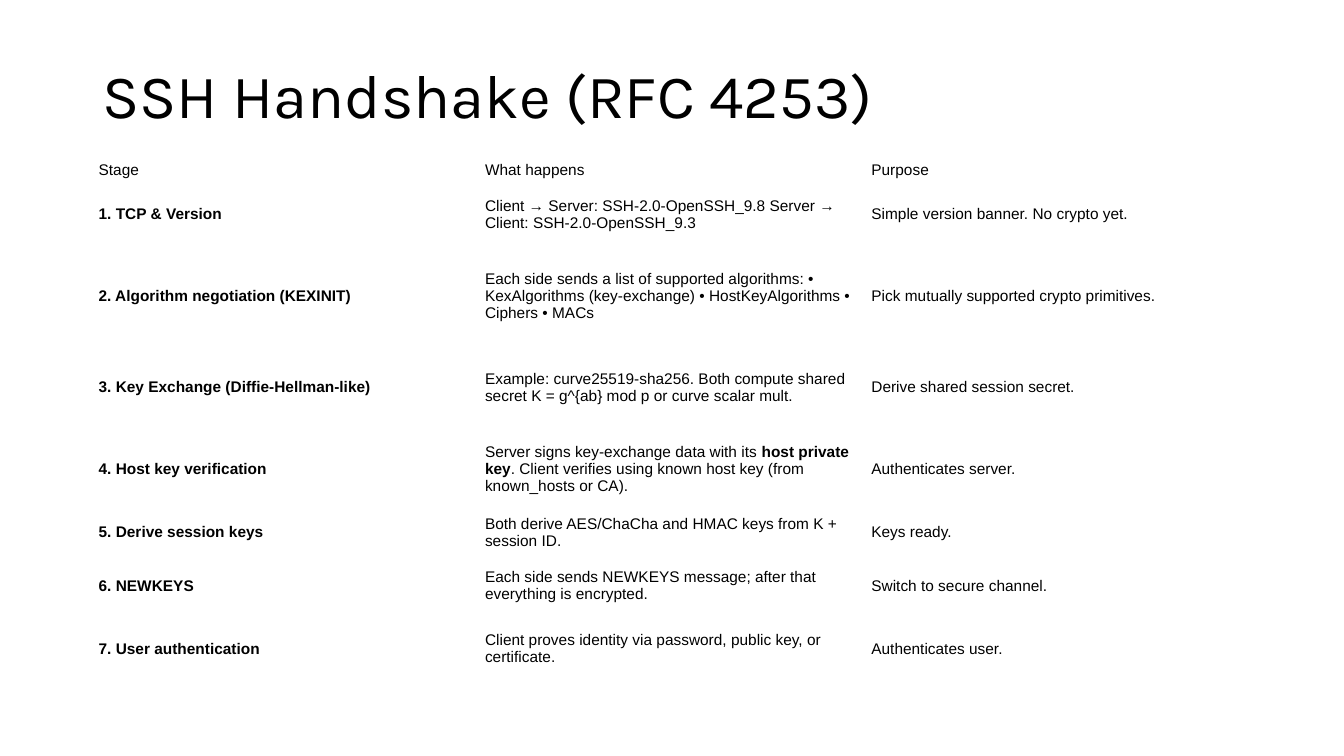
from dataclasses import dataclass

from pptx import Presentation
from pptx.dml.color import RGBColor
from pptx.enum.text import MSO_ANCHOR
from pptx.util import Pt

MIDDLE = MSO_ANCHOR.MIDDLE
EMU_PER_PX = 9525


@dataclass(frozen=True)
class Theme:
    text: RGBColor = RGBColor(0x00, 0x00, 0x00)
    title_font: str = "Karla"
    title_size: int = 44
    body_font: str = "Arial"
    body_size: int = 11


THEME = Theme()

TITLE = "SSH Handshake (RFC 4253)"
HEADER = ("Stage", "What happens", "Purpose")

# Each stage: row height in px, name, runs of (text, bold), purpose
STAGES = [
    (60, "1. TCP & Version",
     [("Client → Server: SSH-2.0-OpenSSH_9.8 Server → Client: SSH-2.0-OpenSSH_9.3", False)],
     "Simple version banner. No crypto yet."),
    (96, "2. Algorithm negotiation (KEXINIT)",
     [("Each side sends a list of supported algorithms: • KexAlgorithms (key-exchange) "
       "• HostKeyAlgorithms • Ciphers • MACs", False)],
     "Pick mutually supported crypto primitives."),
    (78, "3. Key Exchange (Diffie-Hellman-like)",
     [("Example: curve25519-sha256. Both compute shared secret K = g^{ab} mod p "
       "or curve scalar mult.", False)],
     "Derive shared session secret."),
    (78, "4. Host key verification",
     [("Server signs key-exchange data with its ", False),
      ("host private key", True),
      (". Client verifies using known host key (from known_hosts or CA).", False)],
     "Authenticates server."),
    (42, "5. Derive session keys",
     [("Both derive AES/ChaCha and HMAC keys from K + session ID.", False)],
     "Keys ready."),
    (60, "6. NEWKEYS",
     [("Each side sends NEWKEYS message; after that everything is encrypted.", False)],
     "Switch to secure channel."),
    (60, "7. User authentication",
     [("Client proves identity via password, public key, or certificate.", False)],
     "Authenticates user."),
]

HEADER_HEIGHT = 24
LEFT, WIDTH = 88, 1104
TITLE_TOP, TITLE_HEIGHT = 38, 112


def px(n):
    return n * EMU_PER_PX


def add_run(p, text, font, size, bold=False):
    r = p.add_run()
    r.text = text
    r.font.name = font
    r.font.size = Pt(size)
    r.font.bold = bold
    r.font.color.rgb = THEME.text


def add_title(slide, text):
    sp = slide.shapes.add_textbox(px(LEFT), px(TITLE_TOP), px(WIDTH), px(TITLE_HEIGHT))
    tf = sp.text_frame
    tf.word_wrap = True
    tf.vertical_anchor = MIDDLE
    p = tf.paragraphs[0]
    p.line_spacing = 0.9
    add_run(p, text, THEME.title_font, THEME.title_size)


def fill_cell(cell, runs):
    cell.fill.background()
    cell.vertical_anchor = MIDDLE
    cell.margin_left = cell.margin_right = px(6)
    cell.margin_top = cell.margin_bottom = px(3)
    p = cell.text_frame.paragraphs[0]
    for text, bold in runs:
        add_run(p, text, THEME.body_font, THEME.body_size, bold)


def add_stage_table(slide):
    rows = [(HEADER_HEIGHT, [[(label, False)] for label in HEADER])]
    rows += [(height, [[(name, True)], action, [(purpose, False)]])
             for height, name, action, purpose in STAGES]
    total = sum(height for height, _ in rows)
    table = slide.shapes.add_table(len(rows), len(HEADER), px(LEFT), px(TITLE_TOP + TITLE_HEIGHT),
                                   px(WIDTH), px(total)).table
    table.first_row = False
    table.horz_banding = False
    for column in table.columns:
        column.width = px(WIDTH // len(HEADER))
    for i, (height, cells) in enumerate(rows):
        table.rows[i].height = px(height)
        for j, runs in enumerate(cells):
            fill_cell(table.cell(i, j), runs)


def main():
    prs = Presentation()
    prs.slide_width, prs.slide_height = px(1280), px(720)
    slide = prs.slides.add_slide(prs.slide_layouts[6])

    # Heading
    add_title(slide, TITLE)

    # Handshake stages
    add_stage_table(slide)

    prs.save("out.pptx")


if __name__ == "__main__":
    main()
